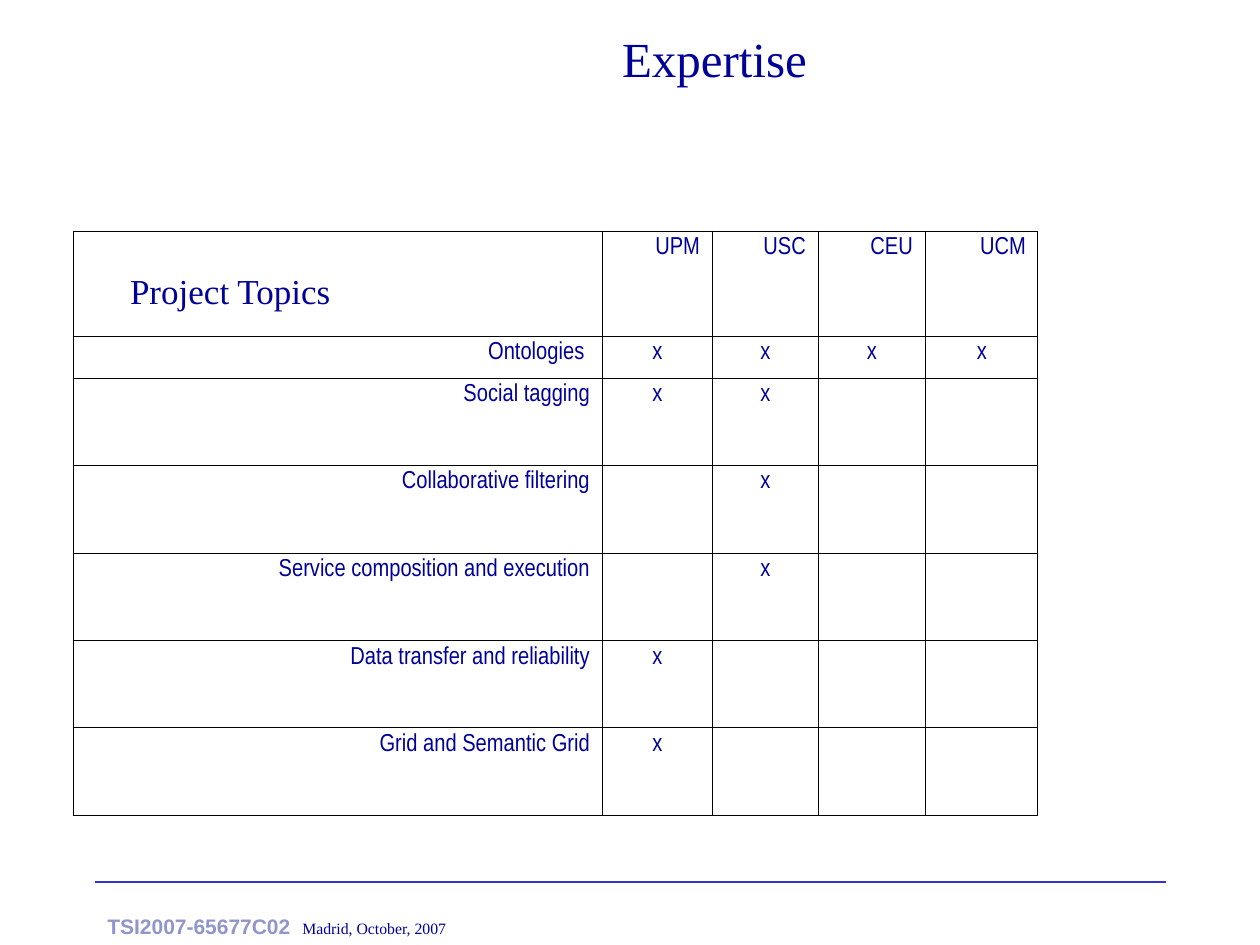
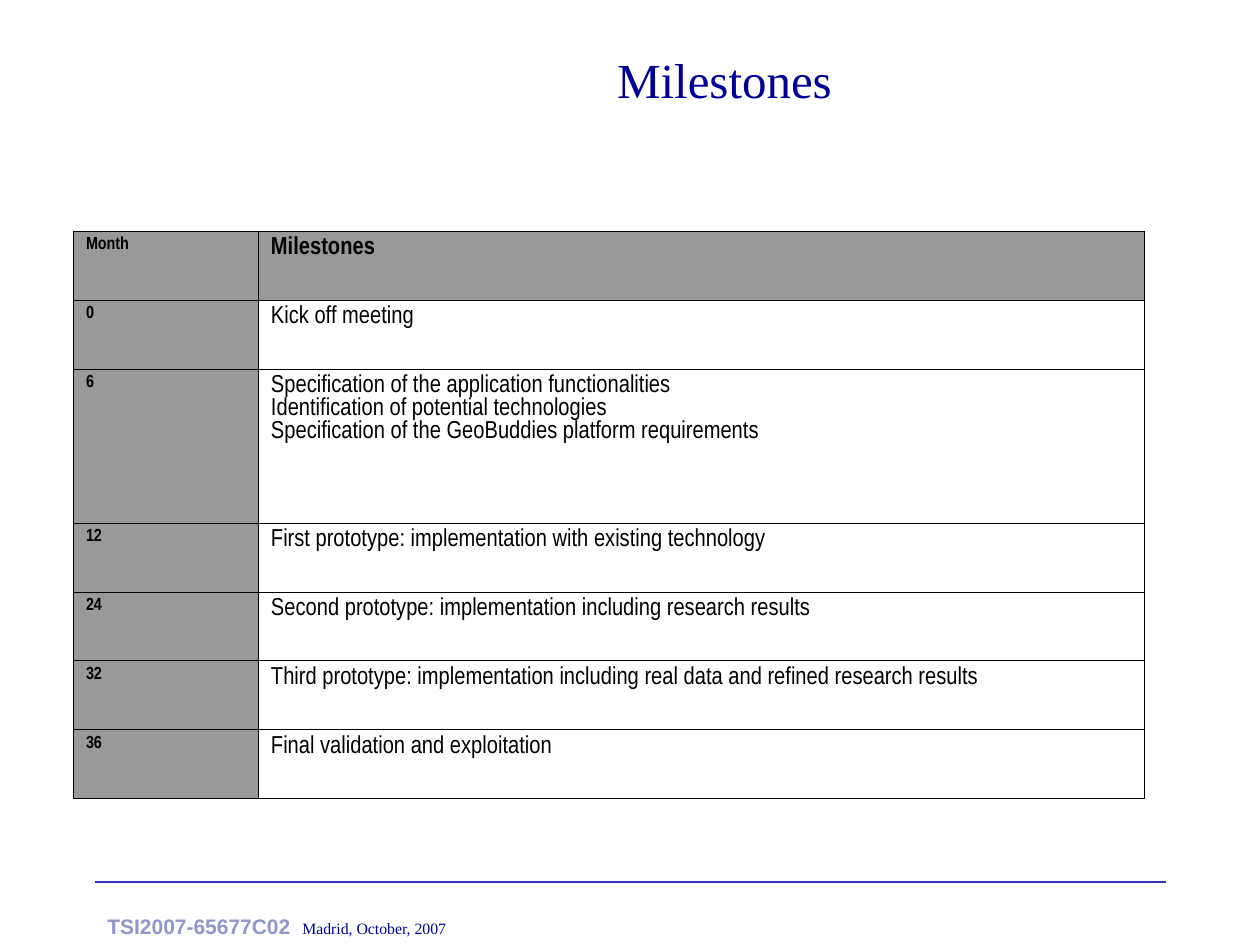
"""Build the expertise and milestones slides of a project presentation."""
from lxml.etree import SubElement
from pptx import Presentation
from pptx.dml.color import RGBColor
from pptx.enum.shapes import MSO_CONNECTOR as Connector
from pptx.enum.text import MSO_ANCHOR as Anchor, MSO_AUTO_SIZE as AutoSize, PP_ALIGN as Align
from pptx.oxml.ns import qn
from pptx.util import Pt

NAVY, RULE, PALE, BLACK, GRAY = "000099", "3333CC", "9096CA", "000000", "999999"
SERIF, SANS, NARROW = "Times New Roman", "Arial", "Arial Narrow"


def px(length):
    return round(length * 914400 / 126)


def color(hex_string):
    return RGBColor.from_string(hex_string)


footer_runs = [
    ("TSI2007-65677C02", {"name": SANS, "size": Pt(12), "bold": True}, PALE),
    ("\tMadrid, October, 2007", {"name": SERIF, "size": Pt(9), "bold": False}, NAVY),
]
topic_font = {"name": NARROW, "size": Pt(14), "bold": False}
month_font = {"name": NARROW, "size": Pt(10), "bold": True}
topic_format = {"font": topic_font, "color": NAVY, "align": Align.RIGHT}
month_format = {"font": month_font, "color": BLACK, "align": Align.LEFT, "fill": GRAY}

slides = [
    {
        "title": "Expertise",
        "title_place": (179, -21),
        "columns": [529, 110, 106, 107, 113],
        "rows": [105, 42, 87, 88, 88, 87, 88],
        "cells": [
            ["Project Topics", "UPM", "USC", "CEU", "UCM"],
            ["Ontologies ", "x", "x", "x", "x"],
            ["Social tagging", "x", "x", "", ""],
            ["Collaborative filtering", "", "x", "", ""],
            ["Service composition and execution", "", "x", "", ""],
            ["Data transfer and reliability", "x", "", "", ""],
            ["Grid and Semantic Grid", "x", "", "", ""],
        ],
        "corner": {
            "font": {"name": SERIF, "size": Pt(20), "bold": False},
            "color": NAVY,
            "align": Align.LEFT,
            "margins": {"margin_left": px(57), "margin_top": px(42)},
        },
        "header": topic_format,
        "side": topic_format,
        "body": {**topic_format, "align": Align.CENTER},
    },
    {
        "title": "Milestones",
        "title_place": (189, 0),
        "columns": [185, 886],
        "rows": [69, 69, 154, 69, 69, 69, 69],
        "cells": [
            ["Month", "Milestones"],
            ["0", "Kick off meeting"],
            ["6", "Specification of the application functionalities\n"
                  "Identification of potential technologies\n"
                  "Specification of the GeoBuddies platform requirements"],
            ["12", "First prototype: implementation with existing technology"],
            ["24", "Second prototype: implementation including research results"],
            ["32", "Third prototype: implementation including real data and refined research results"],
            ["36", "Final validation and exploitation"],
        ],
        "corner": month_format,
        "header": {**month_format, "font": {**topic_font, "bold": True}},
        "side": month_format,
        "body": {"font": topic_font, "color": BLACK, "align": Align.LEFT},
    },
]

presentation = Presentation()
presentation.slide_width, presentation.slide_height = px(1260), px(945)

for content in slides:
    slide = presentation.slides.add_slide(presentation.slide_layouts[5])

    footer = slide.shapes.add_textbox(px(95), px(907), px(364), px(38))
    footer.text_frame.word_wrap = False
    paragraph = footer.text_frame.paragraphs[0]
    tabs = SubElement(paragraph._p.get_or_add_pPr(), qn("a:tabLst"))
    SubElement(tabs, qn("a:tab"), pos=str(px(195)), algn="l")
    for text, font_values, run_color in footer_runs:
        run = paragraph.add_run()
        run.text = text
        for name, value in font_values.items():
            setattr(run.font, name, value)
        run.font.color.rgb = color(run_color)

    rule = slide.shapes.add_connector(Connector.STRAIGHT, px(95), px(882), px(1166), px(882))
    rule.line.color.rgb = color(RULE)
    rule.line.width = Pt(0.75)
    SubElement(rule._element.spPr, qn("a:effectLst"))

    title = slide.shapes.title
    title.left, title.top = [px(length) for length in content["title_place"]]
    title.width, title.height = px(1071), px(158)
    title.text_frame.text = content["title"]
    title.text_frame.vertical_anchor = Anchor.MIDDLE
    title.text_frame.auto_size = AutoSize.NONE
    paragraph = title.text_frame.paragraphs[0]
    paragraph.alignment = Align.CENTER
    for name, value in {"name": SERIF, "size": Pt(28), "bold": False}.items():
        setattr(paragraph.runs[0].font, name, value)
    paragraph.runs[0].font.color.rgb = color(NAVY)

    columns, rows = content["columns"], content["rows"]
    table = slide.shapes.add_table(len(rows), len(columns), px(73), px(231),
                                   px(sum(columns)), px(sum(rows))).table
    table.first_row = table.horz_banding = False
    for column, width in zip(table.columns, columns):
        column.width = px(width)
    for row, height in zip(table.rows, rows):
        row.height = px(height)

    for row_index, texts in enumerate(content["cells"]):
        for column_index, text in enumerate(texts):
            if row_index == 0:
                role = "header" if column_index else "corner"
            else:
                role = "body" if column_index else "side"
            style = content[role]
            cell = table.cell(row_index, column_index)
            margins = {"margin_left": px(13), "margin_right": px(12),
                       "margin_top": px(6), "margin_bottom": px(6)}
            for name, value in {**margins, **style.get("margins", {})}.items():
                setattr(cell, name, value)

            properties = cell._tc.get_or_add_tcPr()
            for side in ("lnL", "lnR", "lnT", "lnB"):
                border = SubElement(properties, qn(f"a:{side}"), w=str(Pt(0.45)))
                fill = SubElement(border, qn("a:solidFill"))
                SubElement(fill, qn("a:srgbClr"), val=BLACK)
            if "fill" in style:
                cell.fill.solid()
                cell.fill.fore_color.rgb = color(style["fill"])
            else:
                cell.fill.background()

            cell.text_frame.text = text
            for paragraph in cell.text_frame.paragraphs:
                paragraph.alignment = style["align"]
                for run in paragraph.runs:
                    for name, value in style["font"].items():
                        setattr(run.font, name, value)
                    run.font.color.rgb = color(style["color"])

presentation.save("out.pptx")
